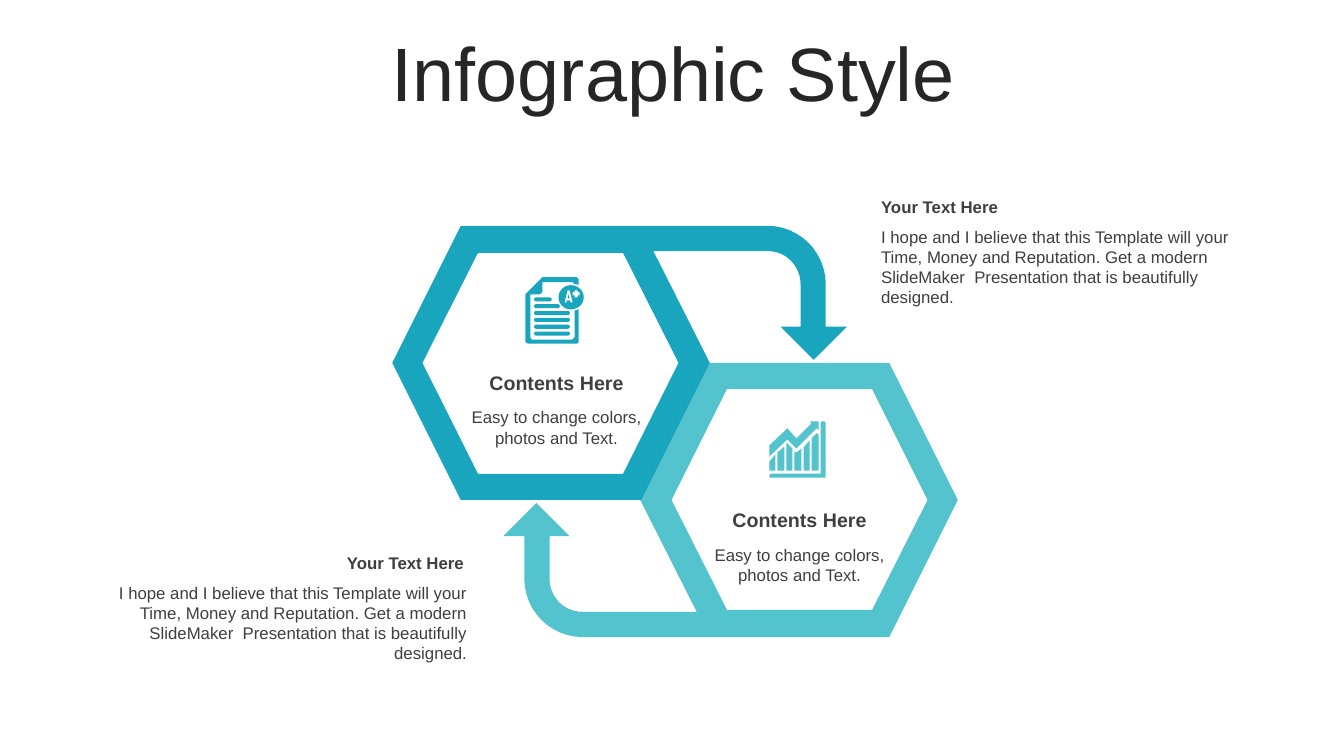
"""Build a slide with two interlocking hexagon arrows, icons and captions."""
from pptx import Presentation
from pptx.dml.color import RGBColor
from pptx.enum.text import MSO_ANCHOR, PP_ALIGN
from pptx.util import Pt

PX = 9144
SLIDE_SIZE = (1333, 750)
FONT = "Arial"
TEAL = RGBColor(0x19, 0xA5, 0xBE)
AQUA = RGBColor(0x53, 0xC3, 0xCD)
INK = RGBColor(0x26, 0x26, 0x26)
GREY = RGBColor(0x3F, 0x3F, 0x3F)

TITLE = "Infographic Style"
HEADING = "Your Text Here"
STORY = ("I hope and I believe that this Template will your Time, Money and Reputation. "
         "Get a modern SlideMaker  Presentation that is beautifully designed.")
LABEL = "Contents Here"
DETAIL = "Easy to change colors, photos and Text."

CAPTIONS = [
    ((864, 190, 392, 30), (864, 220, 392, 91), PP_ALIGN.LEFT),
    ((74, 543, 396, 30), (74, 573, 399, 91), PP_ALIGN.RIGHT),
]
HEXAGON_LABELS = [(453, 363), (694, 499)]

# Two numbers are a corner; six are a Bezier curve with two controls and its end.
HEXAGON_ARROW = [
    [(474, 251), (419, 360), (474, 470), (618, 470), (673, 360), (618, 251)],
    [(457, 224), (761, 224), (793, 224, 819, 250, 819, 282), (819, 324), (840, 324),
     (807, 357), (774, 324), (794, 324), (794, 282), (794, 264, 780, 249, 761, 249),
     (648, 249), (704, 360), (636, 496), (457, 496), (389, 360)],
]
TURN_SUM = (1339, 856)

CHART_BAR_TOPS = [
    [(763, 458), (769, 451)],
    [(771, 449), (778, 443)],
    [(780, 439), (786, 445)],
    [(788, 448), (790, 449), (795, 445)],
    [(797, 444), (803, 437)],
    [(805, 435), (810, 430), (812, 431)],
]
CHART_BAR_BASE = 467
CHART_ARROW = [(812, 418), (812, 427), (810, 425), (790, 445), (781, 436), (763, 453),
               (763, 442), (781, 425), (790, 435), (805, 420), (803, 418)]
CHART_AXES = [(816, 418), (818, 418, 819, 419, 819, 420), (819, 474), (765, 474),
              (764, 474, 763, 473, 763, 472), (763, 471, 764, 470, 765, 470),
              (814, 470), (814, 420), (814, 419, 815, 418, 816, 418)]

REPORT_LINE_RIGHTS = [547, 555, 565, 565, 565, 565]
REPORT_LINE_LEFT, REPORT_LINE_TOP, REPORT_LINE_STEP, REPORT_LINE_HEIGHT = 530, 295, 6.8, 4
REPORT_FRAME = [
    (538, 275), (571, 275), (573, 275, 574, 277, 574, 278), (574, 283),
    (573, 282, 571, 282, 569, 282), (569, 280, 568, 280, 567, 280), (538, 280),
    (538, 289), (538, 290, 536, 292, 535, 292), (526, 292), (526, 334),
    (526, 335, 527, 337, 528, 337), (567, 337), (568, 337, 570, 335, 570, 334),
    (570, 308), (571, 308, 573, 307, 574, 307), (574, 338),
    (574, 340, 573, 341, 571, 341), (525, 341), (523, 341, 521, 340, 521, 338), (521, 292),
]
BADGE = [(566, 283), (573, 283, 579, 288, 579, 295), (579, 302, 573, 307, 566, 307),
         (560, 307, 554, 302, 554, 295), (554, 288, 560, 283, 566, 283)]
GRADE_LETTER = [
    [(563, 288), (560, 300), (562, 300), (562, 298), (565, 298), (566, 300), (568, 300),
     (565, 288)],
    [(564, 292), (565, 296), (563, 296)],
]
GRADE_PLUS = [(570, 288), (570, 290), (568, 290), (568, 293), (570, 293), (570, 295),
              (573, 295), (573, 293), (575, 293), (575, 290), (573, 290), (573, 288)]


def flatten(contour, steps=12):
    """Return the contour as plain points, with its curves split into steps."""
    points = []
    for node in contour:
        if len(node) == 2:
            points.append(node)
            continue
        start = points[-1]
        for step in range(1, steps + 1):
            t = step / steps
            u = 1 - t
            points.append(tuple(
                u ** 3 * start[i] + 3 * u * u * t * node[i]
                + 3 * u * t * t * node[i + 2] + t ** 3 * node[i + 4] for i in (0, 1)))
    return points


def half_turn(contour):
    """Return the contour turned by 180 degrees about the centre of the pair."""
    return [tuple(TURN_SUM[i % 2] - value for i, value in enumerate(node)) for node in contour]


def pill(left, top, right, height):
    """Return the contour of a bar with round ends."""
    bottom, end = top + height, height / 2
    return [(left + end, top), (right - end, top),
            (right + 1, top, right + 1, bottom, right - end, bottom), (left + end, bottom),
            (left - 1, bottom, left - 1, top, left + end, top)]


def add_outline(page, contours, color):
    """Draw all the contours as one filled freeform."""
    outlines = [[(x * PX, y * PX) for x, y in flatten(contour)] for contour in contours]
    builder = page.shapes.build_freeform(*outlines[0][0], scale=1.0)
    for index, points in enumerate(outlines):
        if index:
            builder.move_to(*points[0])
        builder.add_line_segments(points[1:], close=True)
    shape = builder.convert_to_shape()
    shape.shadow.inherit = False
    shape.fill.solid()
    shape.fill.fore_color.rgb = color
    shape.line.fill.background()


def add_text(shapes, place, text, size, align, color=GREY, bold=False):
    """Add one wrapped text box and return it."""
    box = shapes.add_textbox(*(value * PX for value in place))
    box.text_frame.word_wrap = True
    box.text_frame.text = text
    para = box.text_frame.paragraphs[0]
    para.alignment = align
    font = para.runs[0].font
    font.name, font.size, font.bold = FONT, Pt(size), bold
    font.color.rgb = color
    return box


def main():
    deck = Presentation()
    deck.slide_width, deck.slide_height = (value * PX for value in SLIDE_SIZE)
    page = deck.slides.add_slide(deck.slide_layouts[6])

    title = add_text(page.shapes, (35, 37, 1266, 79), TITLE, 54, PP_ALIGN.CENTER, INK)
    title.text_frame.vertical_anchor = MSO_ANCHOR.MIDDLE
    title.text_frame.paragraphs[0].line_spacing = 0.9

    add_outline(page, [half_turn(contour) for contour in HEXAGON_ARROW], AQUA)
    add_outline(page, HEXAGON_ARROW, TEAL)

    for heading_place, story_place, align in CAPTIONS:
        group = page.shapes.add_group_shape()
        add_text(group.shapes, story_place, STORY, 12, align)
        add_text(group.shapes, heading_place, HEADING, 12, align, bold=True)

    for left, top in HEXAGON_LABELS:
        group = page.shapes.add_group_shape()
        add_text(group.shapes, (left, top + 36, 198, 51), DETAIL, 12, PP_ALIGN.CENTER)
        add_text(group.shapes, (left, top, 198, 33), LABEL, 14, PP_ALIGN.CENTER, bold=True)

    chart_bars = [tops + [(tops[-1][0], CHART_BAR_BASE), (tops[0][0], CHART_BAR_BASE)]
                  for tops in CHART_BAR_TOPS]
    add_outline(page, chart_bars + [CHART_ARROW, CHART_AXES], AQUA)

    report_lines = [pill(REPORT_LINE_LEFT, REPORT_LINE_TOP + row * REPORT_LINE_STEP, right,
                         REPORT_LINE_HEIGHT) for row, right in enumerate(REPORT_LINE_RIGHTS)]
    add_outline(page, report_lines + [REPORT_FRAME, BADGE, *GRADE_LETTER, GRADE_PLUS], TEAL)

    deck.save("out.pptx")


if __name__ == "__main__":
    main()
